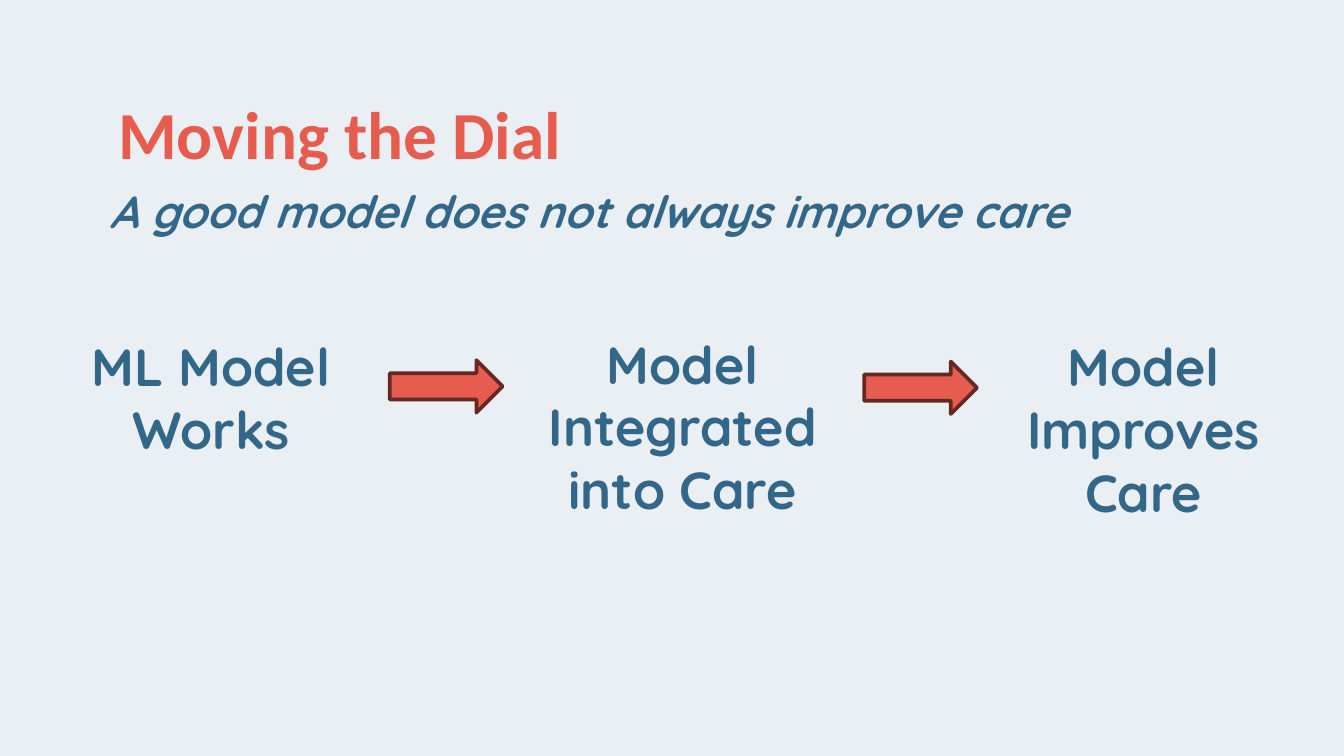
from pptx import Presentation
from pptx import util as u
from pptx.dml.color import RGBColor
from pptx.enum import shapes, text

WIDTH = 10
HEIGHT = WIDTH * 9 / 16
COLORS = {"paper": "EAEFF3", "coral": "E65C4F", "maroon": "652823", "blue": "33678A"}
TITLE = {"name": "Calibri", "size": u.Pt(36), "bold": True, "italic": False}
SUBTITLE = {"name": "Quicksand", "size": u.Pt(24), "bold": True, "italic": True}
STEP = {"name": "Quicksand", "size": u.Pt(28), "bold": True, "italic": False}
STEPS = [
    ("ML Model Works", 0.42, 2.39),
    ("Model Integrated into Care", 3.93, 2.37),
    ("Model Improves Care", 7.36, 2.39),
]
ARROWS = [(2.9, 2.68), (6.43, 2.69)]


def color(name):
    return RGBColor.from_string(COLORS[name])


def fill_text(box, words, style, ink, align, space_after=0):
    frame = box.text_frame
    settings = {
        "word_wrap": True,
        "auto_size": text.MSO_AUTO_SIZE.NONE,
        "vertical_anchor": text.MSO_ANCHOR.TOP,
    }
    for side in ("left", "top", "right", "bottom"):
        settings[f"margin_{side}"] = u.Inches(0.1)
    for name, value in settings.items():
        setattr(frame, name, value)
    para = frame.paragraphs[0]
    para.alignment = align
    para.space_before = u.Pt(0)
    para.space_after = u.Pt(space_after)
    span = para.add_run()
    span.text = words
    for name, value in style.items():
        setattr(span.font, name, value)
    span.font.color.rgb = color(ink)


def add_title(page, words):
    title = page.shapes.title
    frame = {"left": 0.78, "top": 0.59, "width": 8.49, "height": 0.67}
    for name, value in frame.items():
        setattr(title, name, u.Inches(value))
    fill_text(title, words, TITLE, "coral", text.PP_ALIGN.LEFT)


def add_label(page, words, left, top, width, style):
    box = page.shapes.add_textbox(*map(u.Inches, (left, top, width, 1)))
    fill_text(box, words, style, "blue", text.PP_ALIGN.CENTER, 12)


def add_arrow(page, left, top):
    arrow = page.shapes.add_shape(
        shapes.MSO_SHAPE.RIGHT_ARROW, *map(u.Inches, (left, top, 0.84, 0.39))
    )
    arrow.shadow.inherit = False
    arrow.fill.solid()
    arrow.fill.fore_color.rgb = color("coral")
    arrow.line.color.rgb = color("maroon")
    arrow.line.width = u.Pt(2)


def main():
    deck = Presentation()
    deck.slide_width, deck.slide_height = u.Inches(WIDTH), u.Inches(HEIGHT)
    page = deck.slides.add_slide(deck.slide_layouts[5])
    page.background.fill.solid()
    page.background.fill.fore_color.rgb = color("paper")
    add_title(page, "Moving the Dial")
    add_label(page, "A good model does not always improve care", 0.16, 1.27, 8.44, SUBTITLE)
    for words, left, top in STEPS:
        add_label(page, words, left, top, 2.3, STEP)
    for left, top in ARROWS:
        add_arrow(page, left, top)
    deck.save("out.pptx")


if __name__ == "__main__":
    main()
